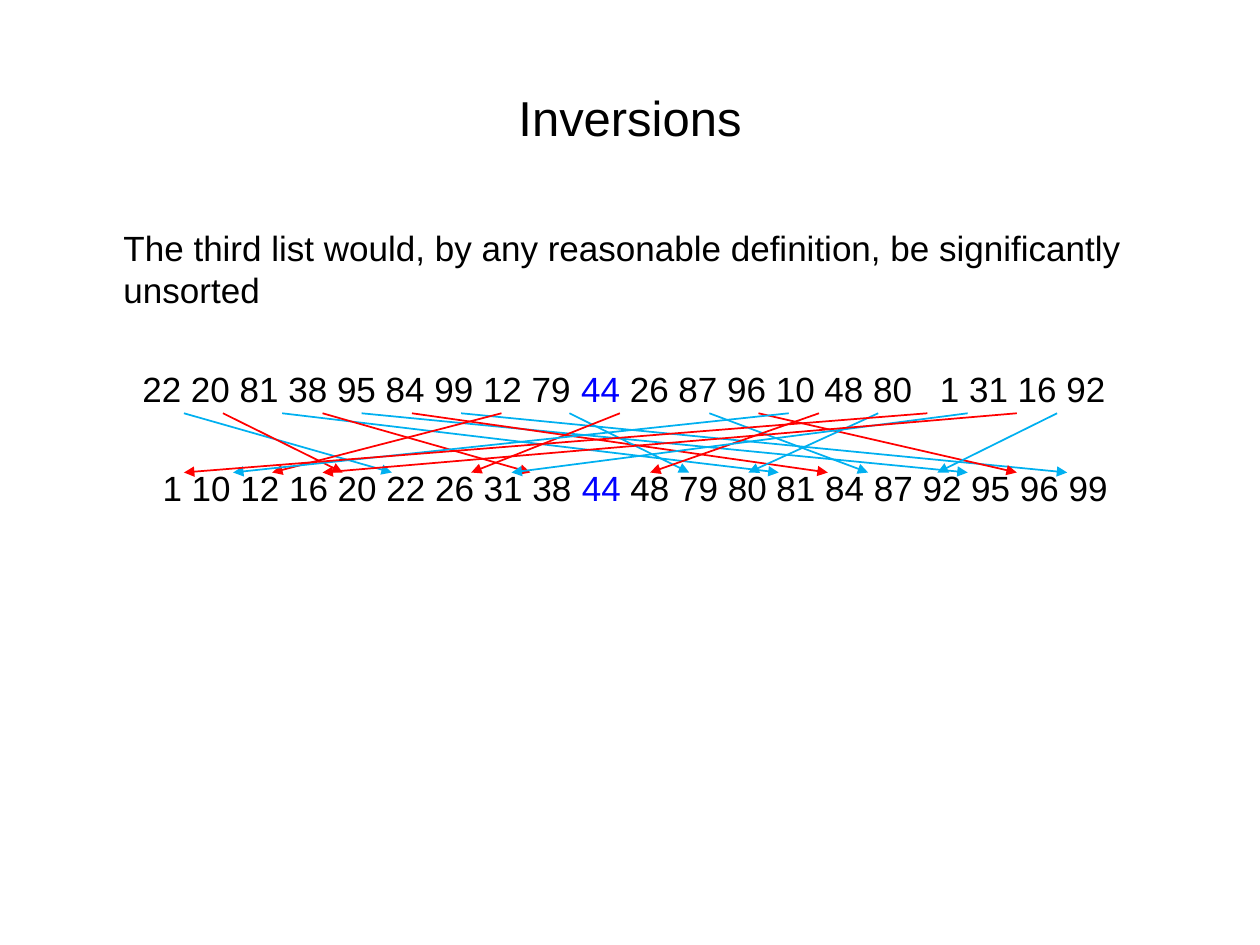
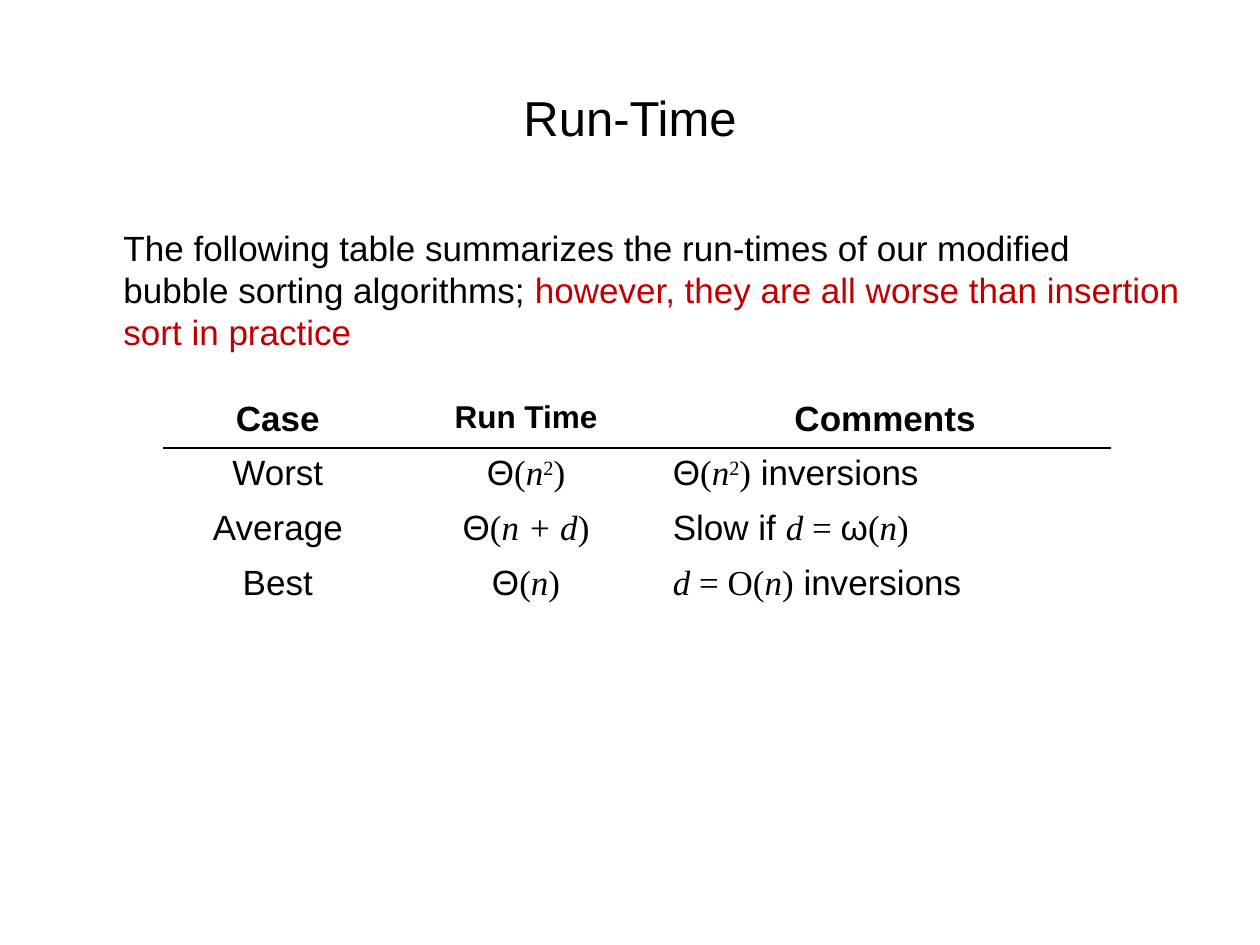
from pptx import Presentation
from pptx.dml.color import RGBColor as Rgb
from pptx.enum.shapes import MSO_CONNECTOR as Conn
from pptx.enum.text import MSO_ANCHOR as Anchor, PP_ALIGN as Align
from pptx.oxml import parse_xml
from pptx.oxml.ns import nsdecls
from pptx.util import Inches, Pt

HUES = {"ink": "000000", "mid": "0000FF", "red": "FF0000",
        "sky": "00B0F0", "warn": "C00000"}
SANS, SERIF = "Arial", "Times New Roman"
BODY = (0.98, 1.8, 8.42, 1.1)

NUMS = [22, 20, 81, 38, 95, 84, 99, 12, 79, 44,
        26, 87, 96, 10, 48, 80, 1, 31, 16, 92]
PIVOT = 44
REDS = {20, 38, 84, 12, 26, 96, 48, 1, 16}
TOPS = [1.46, 1.77, 2.24, 2.56, 2.87, 3.27, 3.66, 3.98, 4.52,
        4.92, 5.63, 6.02, 6.26, 6.5, 6.97, 7.36, 7.68, 8.07, 8.39]
ENDS = [1.46, 1.85, 2.16, 2.56, 2.72, 3.11, 3.74, 4.06, 4.21,
        5.16, 5.47, 5.94, 6.18, 6.57, 6.89, 7.44, 7.68, 8.07, 8.47]

SQUARE = [("Θ", ""), ("(", "t"), ("n", "i"), ("2", "s"), (")", "t")]
ROWS = [
    [[("Case", "b")], [("Run Time", "b")], [("Comments", "b")]],
    [[("Worst", "")], SQUARE, SQUARE + [(" inversions", "")]],
    [[("Average", "")],
     [("Θ", ""), ("(", "t"), ("n + d", "i"), (")", "t")],
     [("Slow if ", ""), ("d", "i"), (" = ", "t"), ("ω", ""),
      ("(", "t"), ("n", "i"), (")", "t")]],
    [[("Best", "")],
     [("Θ", ""), ("(", "t"), ("n", "i"), (")", "t")],
     [("d", "i"), (" = O(", "t"), ("n", "i"), (")", "t"),
      (" inversions", "")]],
]
COLS = [1.81, 2.13, 3.57]


def style(run, size, hue="ink", face=SANS):
    """Set the font of a run."""
    font = run.font
    font.size, font.name = Pt(size), face
    font.color.rgb = Rgb.from_string(HUES[hue])


def add_text(slide, area, parts, size=20, lead=24):
    """Add a box of (text, hue) parts and return its frame."""
    frame = slide.shapes.add_textbox(*map(Inches, area)).text_frame
    frame.word_wrap = True
    frame.margin_left = frame.margin_right = 0
    frame.margin_top = frame.margin_bottom = 0
    para = frame.paragraphs[0]
    if lead:
        para.line_spacing = Pt(lead)
    for text, hue in parts:
        for at, line in enumerate(text.split("\n")):
            if at:
                para.add_line_break()
            run = para.add_run()
            run.text = line
            style(run, size, hue)
    return frame


def add_title(slide, text):
    """Add the centred slide title."""
    frame = add_text(slide, (0.5, 0.3, 9, 1.25), [(text, "ink")], 28, None)
    frame.vertical_anchor = Anchor.MIDDLE
    frame.paragraphs[0].alignment = Align.CENTER


def add_row(slide, left, top, nums, stop=None):
    """Add a row of numbers with the pivot in blue."""
    mid = nums.index(PIVOT)
    head, tail = (" ".join(map(str, part))
                  for part in (nums[:mid], nums[mid + 1:]))
    if stop:
        tail = tail.replace(" 1 ", "\t1 ")
    frame = add_text(slide, (left, top, 7.9, 0.35),
                     [(head + " ", "ink"), (str(PIVOT), "mid"),
                      (" " + tail, "ink")])
    if stop:
        props = frame.paragraphs[0]._p.get_or_add_pPr()
        props.append(parse_xml(
            f'<a:tabLst {nsdecls("a")}>'
            f'<a:tab pos="{Inches(stop)}" algn="l"/></a:tabLst>'))


def add_arrow(slide, start, end, hue):
    """Draw an arrow from the upper row to the lower one."""
    line = slide.shapes.add_connector(
        Conn.STRAIGHT, *map(Inches, (start, 3.28, end, 3.75)))
    line.line.width = Pt(1)
    line.line.color.rgb = Rgb.from_string(HUES[hue])
    line.line._get_or_add_ln().append(
        parse_xml(f'<a:tailEnd {nsdecls("a")} type="triangle"/>'))
    line._element.spPr.append(parse_xml(f'<a:effectLst {nsdecls("a")}/>'))


def add_rule(cell, side):
    """Draw a thin border on one side of a cell."""
    cell._tc.get_or_add_tcPr().insert(0, parse_xml(
        f'<a:{side} {nsdecls("a")} w="{Pt(1)}"><a:solidFill>'
        f'<a:srgbClr val="{HUES["ink"]}"/></a:solidFill></a:{side}>'))


def fill_cell(cell, parts, size, align):
    """Write marked parts: b bold, t serif, i italic, s raised."""
    cell.fill.background()
    para = cell.text_frame.paragraphs[0]
    para.alignment = align
    for text, mark in parts:
        run = para.add_run()
        run.text = text
        style(run, size, face=SERIF if mark in ("t", "i", "s") else SANS)
        run.font.bold = mark == "b"
        run.font.italic = mark == "i"
        if mark == "s":
            run.font._element.set("baseline", "30000")


def add_grid(slide):
    """Add the table of run times."""
    area = map(Inches, (1.3, 3.12, sum(COLS), 1.73))
    grid = slide.shapes.add_table(len(ROWS), len(COLS), *area).table
    grid.first_row = grid.horz_banding = False
    for col, width in zip(grid.columns, COLS):
        col.width = Inches(width)
    for r, row in enumerate(ROWS):
        for c, parts in enumerate(row):
            cell = grid.cell(r, c)
            size = 18 if (r, c) == (0, 1) else 20
            left = r > 0 and c == 2
            fill_cell(cell, parts, size, Align.LEFT if left else Align.CENTER)
            if r < 2:
                add_rule(cell, "lnT" if r else "lnB")


def add_swaps(slide):
    """Show how far each number is from its sorted place."""
    add_title(slide, "Inversions")
    add_text(slide, BODY, [("The third list would, by any reasonable "
                            "definition, be significantly unsorted", "ink")])
    add_row(slide, 1.13, 2.92, NUMS, 6.33)
    add_row(slide, 1.29, 3.7, sorted(NUMS))
    moved = [num for num in NUMS if num != PIVOT]
    goal = dict(zip(sorted(moved), ENDS))
    for num, start in zip(moved, TOPS):
        add_arrow(slide, start, goal[num], "red" if num in REDS else "sky")


def add_times(slide):
    """Show the run times of the sorts."""
    add_title(slide, "Run-Time")
    add_text(slide, BODY, [
        ("The following table summarizes the run-times of our modified\n"
         "bubble sorting algorithms; ", "ink"),
        ("however, they are all worse than insertion sort in practice",
         "warn")])
    add_grid(slide)


def main():
    """Build and save the deck."""
    deck = Presentation()
    deck.slide_width, deck.slide_height = Inches(10), Inches(7.5)
    for build in (add_swaps, add_times):
        build(deck.slides.add_slide(deck.slide_layouts[6]))
    deck.save("out.pptx")


if __name__ == "__main__":
    main()
